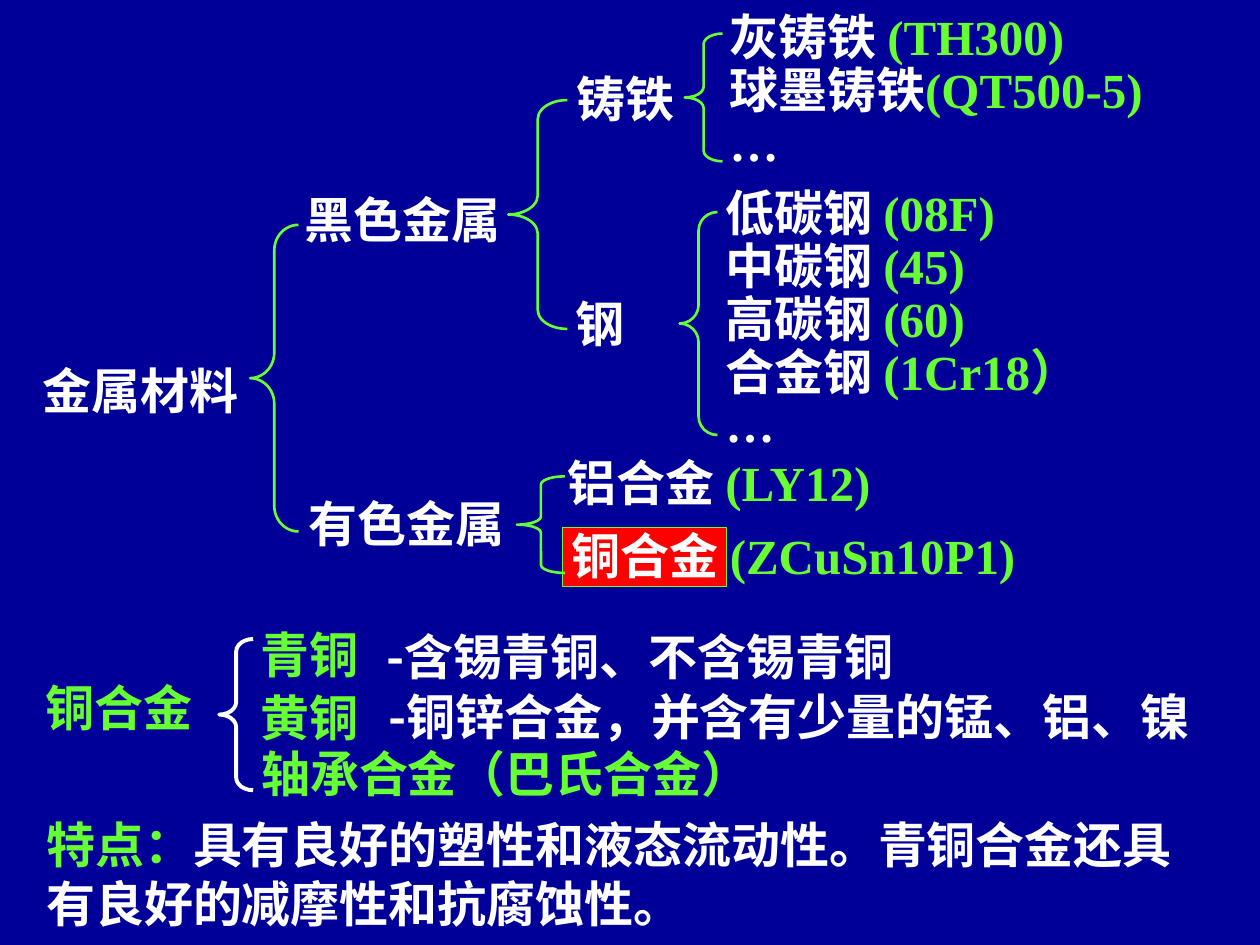
from pptx import Presentation
from pptx.dml.color import RGBColor
from pptx.enum.shapes import MSO_SHAPE
from pptx.enum.text import MSO_AUTO_SIZE
from pptx.util import Pt

NAVY = RGBColor(0x00, 0x00, 0x99)
GREEN = RGBColor(0x66, 0xFF, 0x33)
WHITE = RGBColor(0xFF, 0xFF, 0xFF)
RED = RGBColor(0xFF, 0x00, 0x00)
SERIF = "Times New Roman"
SANS = "Noto Sans CJK SC"

CATEGORIES = [
    ("金属材料", 17.3, 205.9, 128),
    ("黑色金属", 167, 108.3, 128),
    ("有色金属", 169.2, 282.2, 128),
    ("铸铁", 322.6, 39.2, 72),
    ("钢", 321.8, 167.8, 44),
]
CAST_IRONS = [("灰铸铁 ", "(TH300)"), ("球墨铸铁", "(QT500-5)"), ("…", "")]
STEELS = [("低碳钢 ", "(08F)"), ("中碳钢 ", "(45)"), ("高碳钢 ", "(60)"),
          ("合金钢 ", "(1Cr18）"), ("…", "")]
BRACES = [
    (142.9, 128.5, 27.7, 175.2),
    (290.4, 57.2, 33.8, 130.8),
    (391.3, 19.2, 21.6, 73),
    (388.4, 121.2, 21.6, 127.4),
    (295.4, 272.2, 27.4, 55.2),
]
COPPER_ALLOYS = [
    ("铜合金", GREEN, 19.2, 383.8, 120.2),
    ("青铜", GREEN, 141.8, 353.5, 72),
    ("黄铜", GREEN, 141.8, 389.2, 72),
    ("轴承合金（巴氏合金）", GREEN, 142.2, 421.2, 296),
    ("-含锡青铜、不含锡青铜", WHITE, 213.5, 354.6, 500.4),
    ("-铜锌合金，并含有少量的锰、铝、镍", WHITE, 214.8, 388.5, 500.4),
]


def add_text(slide, lines, left, top, width, height, font=SERIF,
             margins=(3.6, 3.6), spacing=None, wrap=False):
    frame = slide.shapes.add_textbox(Pt(left), Pt(top), Pt(width), Pt(height)).text_frame
    frame.word_wrap = wrap
    frame.auto_size = MSO_AUTO_SIZE.SHAPE_TO_FIT_TEXT
    frame.margin_top, frame.margin_bottom = map(Pt, margins)
    for index, line in enumerate(lines):
        paragraph = frame.add_paragraph() if index else frame.paragraphs[0]
        paragraph.line_spacing = spacing
        paragraph.font.name = font
        paragraph.font.size = Pt(28)
        paragraph.font.bold = True
        for words, colour in line:
            run = paragraph.add_run()
            run.text = words
            run.font.color.rgb = colour


def add_grades(slide, grades, left, top, width, height, **layout):
    lines = [[(words, colour) for words, colour in zip(grade, (WHITE, GREEN)) if words]
             for grade in grades]
    add_text(slide, lines, left, top, width, height, **layout)


def add_brace(slide, left, top, width, height, colour=GREEN, weight=1.5):
    brace = slide.shapes.add_shape(MSO_SHAPE.LEFT_BRACE, Pt(left), Pt(top),
                                   Pt(width), Pt(height))
    brace.shadow.inherit = False
    brace.adjustments[0] = height / 12 / width
    brace.fill.background()
    brace.line.color.rgb = colour
    brace.line.width = Pt(weight)


def add_highlight(slide, left, top, width, height):
    highlight = slide.shapes.add_shape(MSO_SHAPE.RECTANGLE, Pt(left), Pt(top),
                                       Pt(width), Pt(height))
    highlight.shadow.inherit = False
    highlight.fill.solid()
    highlight.fill.fore_color.rgb = RED
    highlight.line.color.rgb = GREEN
    highlight.line.width = Pt(0.75)


def main():
    deck = Presentation()
    deck.slide_width, deck.slide_height = Pt(720), Pt(540)
    slide = deck.slides.add_slide(deck.slide_layouts[6])
    slide.background.fill.solid()
    slide.background.fill.fore_color.rgb = NAVY

    add_highlight(slide, 321.6, 301.6, 93.6, 33.6)
    for name, left, top, width in CATEGORIES:
        add_text(slide, [[(name, WHITE)]], left, top, width, 33.8, margins=(0, 0))
    for box in BRACES:
        add_brace(slide, *box)
    add_grades(slide, CAST_IRONS, 409.8, 4, 257, 94.3, margins=(3.6, 0), spacing=0.9)
    add_grades(slide, STEELS, 407.5, 104.4, 229.7, 154.8, margins=(3.6, 0), spacing=0.9)
    add_grades(slide, [("铝合金 ", "(LY12)")], 317.2, 254.9, 196.6, 41)
    add_grades(slide, [("铜合金 ", "(ZCuSn10P1)")], 319.7, 296.6, 274.3, 41)

    add_brace(slide, 125.3, 365.2, 19.4, 86.4, WHITE, 2.25)
    for words, colour, left, top, width in COPPER_ALLOYS:
        add_text(slide, [[(words, colour)]], left, top, width, 41, SANS, wrap=True)
    traits = [("特点：", GREEN),
              ("具有良好的塑性和液态流动性。青铜合金还具有良好的减摩性和抗腐蚀性。", WHITE)]
    add_text(slide, [traits], 19.4, 461.8, 681.8, 74.9, SANS, wrap=True)

    deck.save("out.pptx")


if __name__ == "__main__":
    main()
